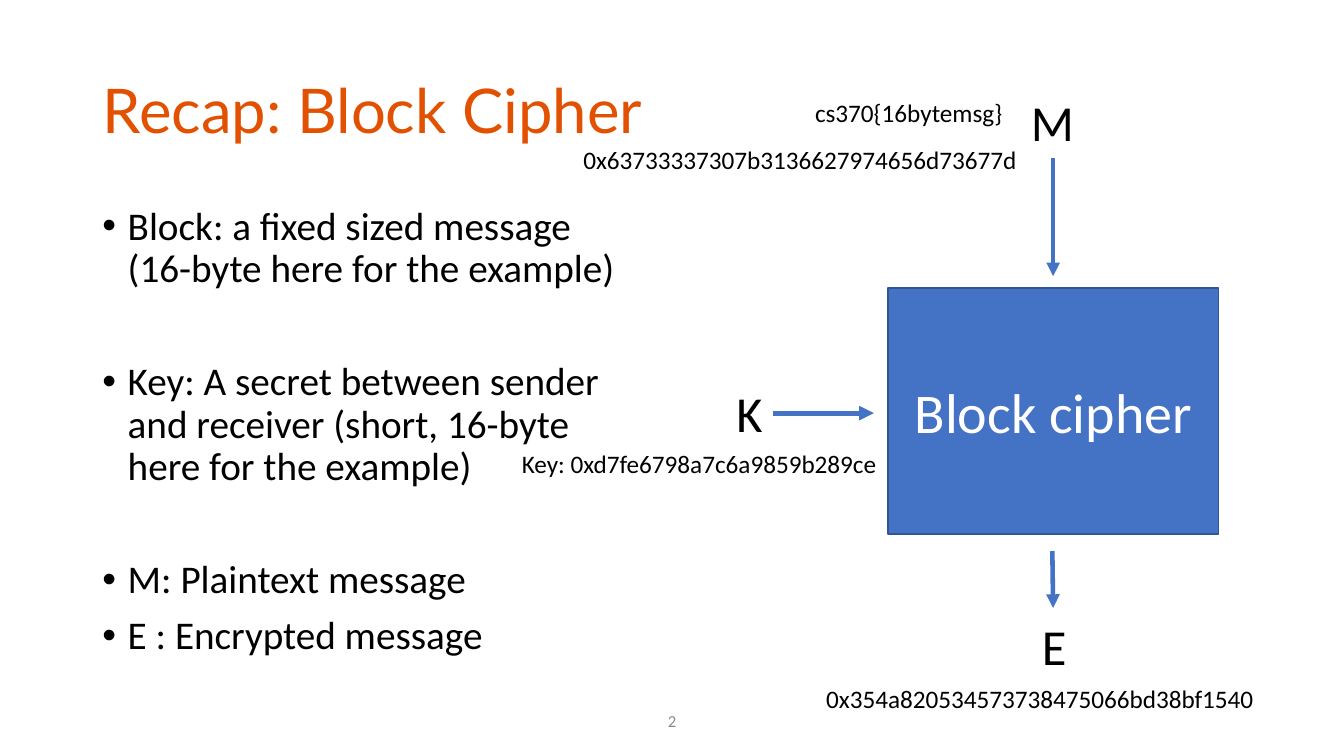
from dataclasses import dataclass

from lxml.etree import SubElement
from pptx import Presentation
from pptx.dml.color import RGBColor
from pptx.enum.shapes import MSO_CONNECTOR, MSO_SHAPE
from pptx.enum.text import MSO_ANCHOR, MSO_AUTO_SIZE, PP_ALIGN
from pptx.oxml.ns import qn
from pptx.util import Cm, Pt


@dataclass(frozen=True)
class Theme:
    heading_font: str = "Lato"
    body_font: str = "Calibri"
    orange: str = "E15101"
    black: str = "000000"
    grey: str = "8C8C8C"
    white: str = "FFFFFF"
    blue: str = "4472C4"
    dark_blue: str = "325491"
    title: int = 44
    cipher: int = 40
    symbol: int = 36
    body: int = 28
    value: int = 18
    number: int = 12


theme = Theme()


def add_run(paragraph, text, size, color=theme.black, font=theme.body_font):
    run = paragraph.add_run()
    run.text = text
    run.font.size = Pt(size)
    run.font.name = font
    run.font.color.rgb = RGBColor.from_string(color)


prs = Presentation()
prs.slide_width, prs.slide_height = Cm(33.87), Cm(19.05)
slide = prs.slides.add_slide(prs.slide_layouts[5])

title = slide.shapes.title
title.left, title.top, title.width, title.height = Cm(2.33), Cm(1.01), Cm(29.21), Cm(3.68)
title.text_frame.auto_size = MSO_AUTO_SIZE.NONE
title.text_frame.vertical_anchor = MSO_ANCHOR.MIDDLE
heading = title.text_frame.paragraphs[0]
heading.alignment = PP_ALIGN.LEFT
heading.line_spacing = 0.9
add_run(heading, "Recap: Block Cipher", theme.title, theme.orange, theme.heading_font)

definitions = slide.shapes.add_textbox(Cm(2.33), Cm(5.08), Cm(14.05), Cm(12.09)).text_frame
definitions.word_wrap = True
for index, (text, gap) in enumerate([
    ("Block: a fixed sized message (16-byte here for the example)", 0),
    ("Key: A secret between sender and receiver (short, 16-byte here for the example)", 50.5),
    ("M: Plaintext message", 50.5),
    ("E : Encrypted message", 10),
]):
    definition = definitions.add_paragraph() if index else definitions.paragraphs[0]
    properties = definition._p.get_or_add_pPr()
    properties.set("marL", str(Cm(0.64)))
    properties.set("indent", str(-Cm(0.64)))
    SubElement(properties, qn("a:buFont")).set("typeface", "Arial")
    SubElement(properties, qn("a:buChar")).set("char", "•")
    definition.line_spacing = 0.9
    definition.space_before = Pt(gap)
    add_run(definition, text, theme.body)

page_number = slide.shapes.add_textbox(Cm(13.13), Cm(17.65), Cm(7.62), Cm(1.01)).text_frame
page_number.word_wrap = True
page_number.vertical_anchor = MSO_ANCHOR.MIDDLE
page_number.paragraphs[0].alignment = PP_ALIGN.CENTER
add_run(page_number.paragraphs[0], "2", theme.number, theme.grey)

cipher = slide.shapes.add_shape(MSO_SHAPE.RECTANGLE, Cm(22.38), Cm(7.26), Cm(8.33), Cm(6.2))
cipher.shadow.inherit = False
cipher.fill.solid()
cipher.fill.fore_color.rgb = RGBColor.from_string(theme.blue)
cipher.line.color.rgb = RGBColor.from_string(theme.dark_blue)
cipher.line.width = Pt(1)
cipher.text_frame.vertical_anchor = MSO_ANCHOR.MIDDLE
cipher.text_frame.paragraphs[0].alignment = PP_ALIGN.CENTER
add_run(cipher.text_frame.paragraphs[0], "Block cipher", theme.cipher, theme.white)

for text, left, top, width, height, size in [
    ("Key: 0xd7fe6798a7c6a9859b289ce", 12.9, 11.18, 9.55, 1.02, theme.value),
    ("K", 18.31, 9.5, 1.17, 1.8, theme.symbol),
    ("M", 25.73, 2.18, 1.6, 1.8, theme.symbol),
    ("cs370{16bytemsg}", 20.29, 2.34, 5.28, 1.02, theme.value),
    ("E", 26.01, 15.37, 1.14, 1.8, theme.symbol),
    ("0x63733337307b3136627974656d73677d", 14.45, 3.51, 11.56, 1.02, theme.value),
    ("0x354a820534573738475066bd38bf1540", 20.57, 17.09, 11.91, 1.02, theme.value),
]:
    label = slide.shapes.add_textbox(Cm(left), Cm(top), Cm(width), Cm(height)).text_frame
    label.word_wrap = False
    add_run(label.paragraphs[0], text, size)

for x1, y1, x2, y2, weight in [
    (19.48, 10.41, 22.02, 10.41, 3.5),
    (26.54, 3.99, 26.54, 6.96, 3.25),
    (26.52, 13.89, 26.54, 15.32, 3.25),
]:
    flow = slide.shapes.add_connector(MSO_CONNECTOR.STRAIGHT, Cm(x1), Cm(y1), Cm(x2), Cm(y2))
    flow.line.color.rgb = RGBColor.from_string(theme.blue)
    flow.line.width = Pt(weight)
    SubElement(flow.line._get_or_add_ln(), qn("a:tailEnd")).set("type", "triangle")
    SubElement(flow._element.spPr, qn("a:effectLst"))

prs.save("out.pptx")
